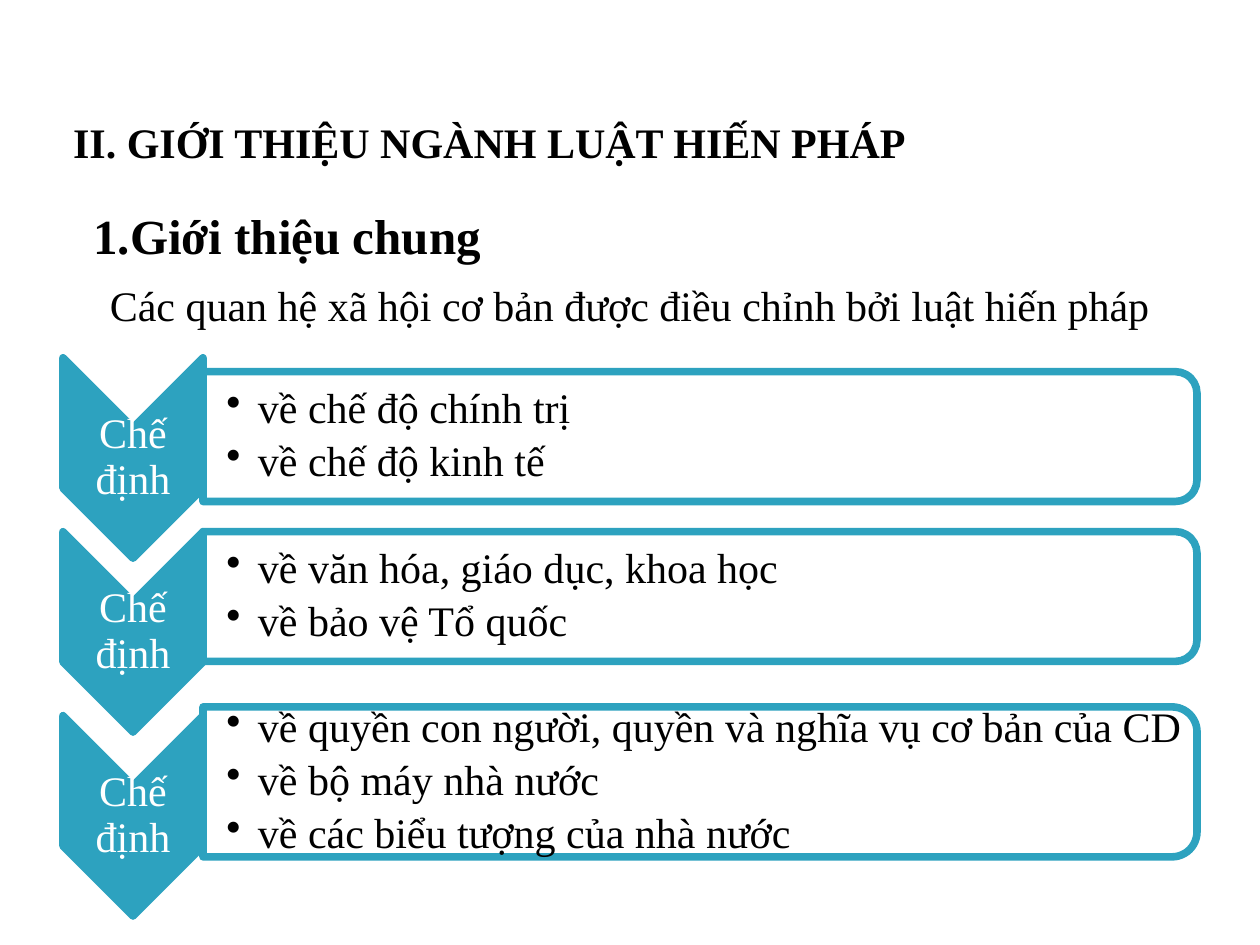
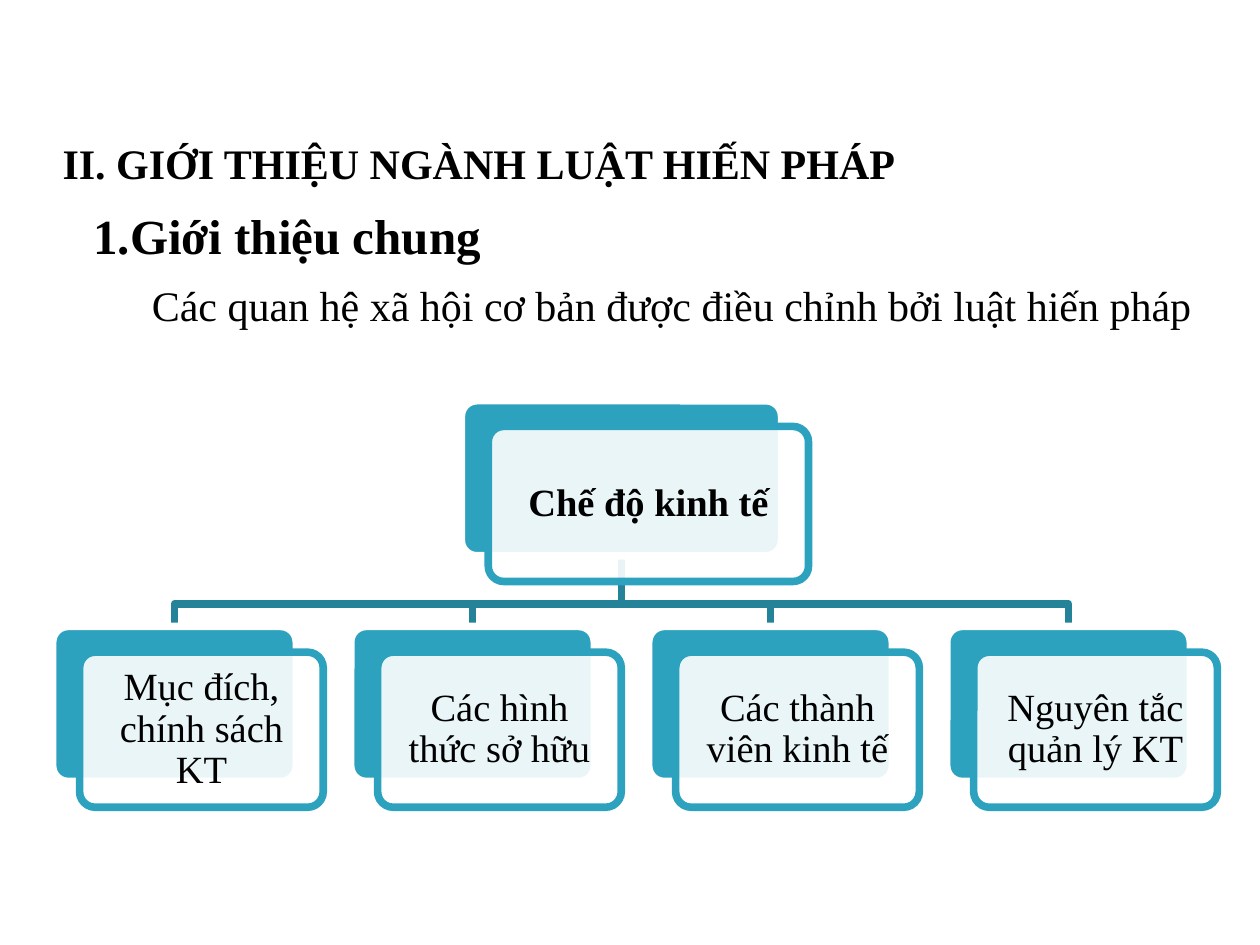
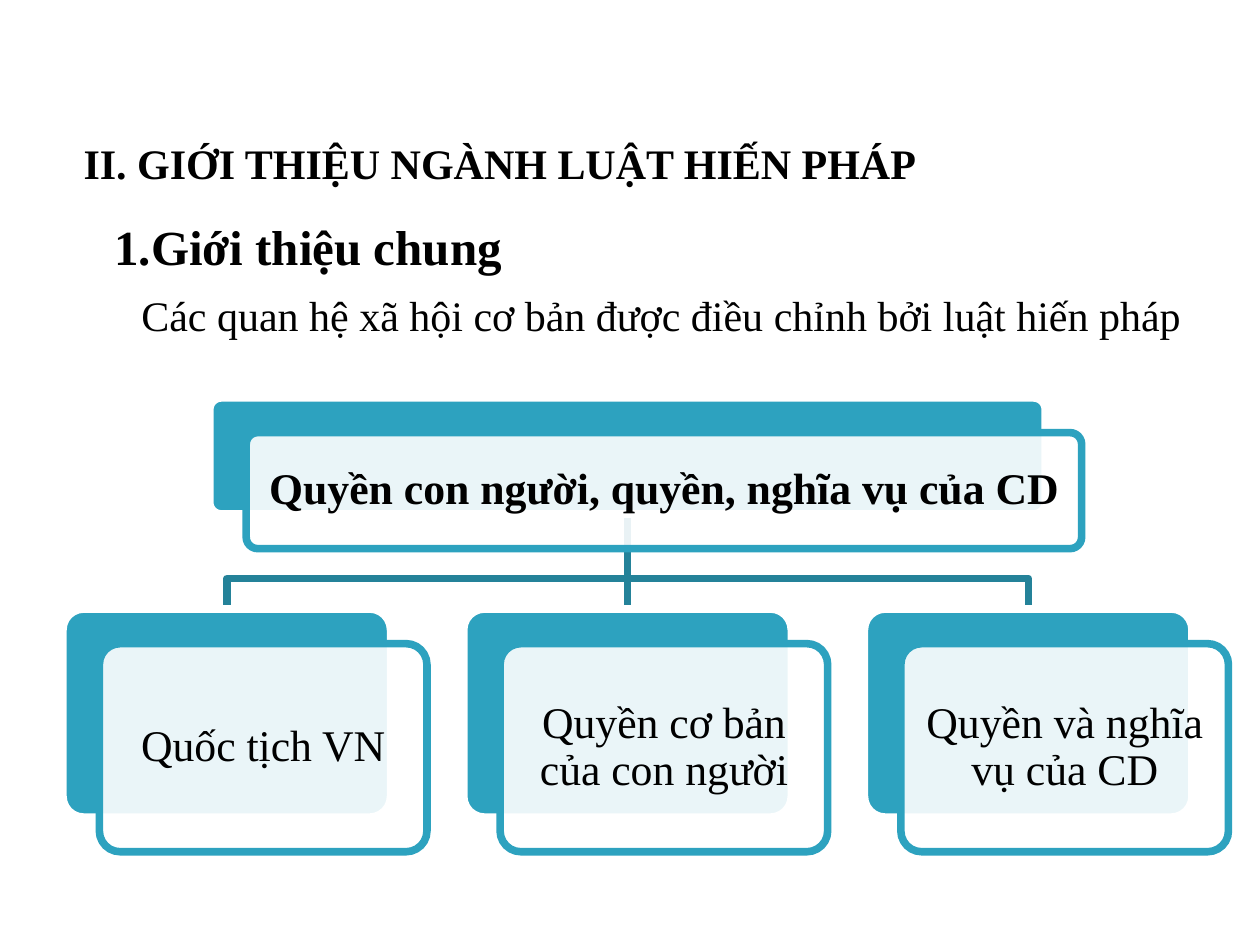
from lxml import etree
from pptx import Presentation
from pptx.dml.color import RGBColor
from pptx.enum.shapes import MSO_SHAPE
from pptx.enum.text import MSO_ANCHOR, PP_ALIGN
from pptx.oxml.ns import qn
from pptx.util import Pt

CHEVRON = MSO_SHAPE.CHEVRON
ROUND_TOP = MSO_SHAPE.ROUND_2_SAME_RECTANGLE
ROUNDED = MSO_SHAPE.ROUNDED_RECTANGLE
LEFT, CENTER = PP_ALIGN.LEFT, PP_ALIGN.CENTER
TOP, MIDDLE = MSO_ANCHOR.TOP, MSO_ANCHOR.MIDDLE

# Shared style
FONT = "Times New Roman"
BLACK = RGBColor(0x00, 0x00, 0x00)
WHITE = RGBColor(0xFF, 0xFF, 0xFF)
TEAL = RGBColor(0x2D, 0xA2, 0xBF)
DARK_TEAL = RGBColor(0x24, 0x82, 0x99)
LINE_WIDTH = 4.33
CORNER = 0.1

TITLE = "II. GIỚI THIỆU NGÀNH LUẬT HIẾN PHÁP "
SECTION = "Giới thiệu chung"
SUBTITLE = "Các quan hệ xã hội cơ bản được điều chỉnh bởi luật hiến pháp "

# Chevron list: chevron centre, panel centre, panel height, items
CHEVRON_ROWS = [
    (261.7, 249.5, 74.2, ["về chế độ chính trị", "về chế độ kinh tế"]),
    (361.1, 340.9, 74.2, ["về văn hóa, giáo dục, khoa học", "về bảo vệ Tổ quốc"]),
    (466.2, 446.8, 85.7, ["về quyền con người, quyền và nghĩa vụ cơ bản của CD",
                          "về bộ máy nhà nước",
                          "về các biểu tượng của nhà nước"]),
]


def add_text(slide, text, left, top, width, height, *, size=24, bold=False,
             color=BLACK, align=LEFT, anchor=TOP, insets=(7.2, 3.6, 7.2, 3.6),
             spacing=None, before=0, after=0, bullet=None, indent=(0, 0)):
    """Add a text box; a list of texts gives one paragraph each."""
    box = slide.shapes.add_textbox(Pt(left), Pt(top), Pt(width), Pt(height))
    frame = box.text_frame
    frame.word_wrap = True
    frame.vertical_anchor = anchor
    (frame.margin_left, frame.margin_top,
     frame.margin_right, frame.margin_bottom) = map(Pt, insets)
    lines = [text] if isinstance(text, str) else text
    for index, line in enumerate(lines):
        paragraph = frame.add_paragraph() if index else frame.paragraphs[0]
        paragraph.alignment = align
        paragraph.space_before = Pt(before)
        paragraph.space_after = Pt(after)
        if spacing:
            paragraph.line_spacing = spacing
        if bullet:
            add_bullet(paragraph, bullet, indent)
        run = paragraph.add_run()
        run.text = line
        run.font.name = FONT
        run.font.size = Pt(size)
        run.font.bold = bold
        run.font.color.rgb = color


def add_bullet(paragraph, bullet, indent):
    """Number the paragraph for "1.", else use the bullet as a character."""
    properties = paragraph._p.get_or_add_pPr()
    properties.set("marL", str(Pt(indent[0])))
    properties.set("indent", str(Pt(indent[1])))
    if bullet == "1.":
        etree.SubElement(properties, qn("a:buAutoNum"), type="arabicPeriod")
    else:
        etree.SubElement(properties, qn("a:buChar"), char=bullet)


def add_block(slide, kind, left, top, width, height, fill, line, opacity=None):
    shape = slide.shapes.add_shape(kind, Pt(left), Pt(top), Pt(width), Pt(height))
    shape.shadow.inherit = False
    shape.fill.solid()
    shape.fill.fore_color.rgb = fill
    shape.line.color.rgb = line
    shape.line.width = Pt(LINE_WIDTH)
    if opacity:
        color = shape._element.spPr.find(qn("a:solidFill"))[0]
        etree.SubElement(color, qn("a:alpha"), val=str(opacity * 1000))
    return shape


def add_turned_block(slide, kind, left, middle, width, height, *style):
    """Add a block turned by 90 degrees that covers the given area."""
    center = left + width / 2
    shape = add_block(slide, kind, center - height / 2, middle - width / 2,
                      height, width, *style)
    shape.rotation = 90


def add_headings(slide, title_at, section_at, subtitle_at):
    add_text(slide, SECTION, *section_at, 336, 60, size=28, bold=True,
             before=4, bullet="1.", indent=(44.6, 13.7))
    add_text(slide, SUBTITLE, *subtitle_at, 653.8, 36, align=CENTER)
    add_text(slide, TITLE, *title_at, 552, 54, bold=True, align=CENTER, anchor=MIDDLE)


def add_chevron_row(slide, chevron_middle, panel_middle, panel_height, items):
    left, chevron_width, label_height = 36, 80, 34.6
    panel_left, panel_width, inset = left + chevron_width, 568, 3.6
    add_turned_block(slide, CHEVRON, left, chevron_middle, chevron_width, 114.5,
                     TEAL, TEAL)
    add_text(slide, "Chế định", left, chevron_middle - label_height / 2,
             chevron_width, label_height, color=WHITE, align=CENTER,
             anchor=MIDDLE, insets=(1.2,) * 4, spacing=0.9)
    add_turned_block(slide, ROUND_TOP, panel_left, panel_middle, panel_width,
                     panel_height, WHITE, TEAL, 90)
    add_text(slide, items, panel_left, panel_middle - panel_height / 2 + inset,
             panel_width - inset, panel_height - 2 * inset, anchor=MIDDLE,
             insets=(13.4, 1.2, 1.2, 1.2), spacing=0.9, after=4.3,
             bullet="•", indent=(18, -18))


def add_card(slide, text, left, top, width, height, shift, size, bold=False):
    """Add a teal card with a translucent labelled card shifted over it."""
    back = add_block(slide, ROUNDED, left, top, width, height, TEAL, WHITE)
    left, top = left + shift[0], top + shift[1]
    front = add_block(slide, ROUNDED, left, top, width, height, WHITE, TEAL, 90)
    for card in (back, front):
        card.adjustments[0] = CORNER
    inset = 0.29 * CORNER * height
    add_text(slide, text, left + inset, top + inset, width - 2 * inset,
             height - 2 * inset, size=size, bold=bold, align=CENTER,
             anchor=MIDDLE, insets=(0.3 * size,) * 4, spacing=0.9)


def add_branch(slide, start, end):
    """Link parent and child: straight when aligned, else with an elbow."""
    (start_x, start_y), (end_x, end_y) = start, end
    if abs(start_x - end_x) < 1:
        branch = slide.shapes.add_connector(1, Pt(start_x), Pt(start_y),
                                            Pt(end_x), Pt(end_y))
        etree.SubElement(branch._element.spPr, qn("a:effectLst"))
    else:
        elbow = end_y - 0.32 * (end_y - start_y)
        builder = slide.shapes.build_freeform(Pt(start_x), Pt(start_y))
        points = [(start_x, elbow), (end_x, elbow), end]
        builder.add_line_segments([(Pt(x), Pt(y)) for x, y in points], close=False)
        branch = builder.convert_to_shape()
        branch.fill.background()
        branch.shadow.inherit = False
    branch.line.color.rgb = DARK_TEAL
    branch.line.width = Pt(LINE_WIDTH)


def add_hierarchy(slide, root, children, *, root_top, root_size, left, top,
                  card_size, pitch, shift, size):
    """Draw a root card centred over a row of evenly spaced child cards."""
    lefts = [left + index * pitch for index in range(len(children))]
    half = card_size[0] / 2
    center = (lefts[0] + lefts[-1]) / 2 + half
    for child_left in reversed(lefts):
        add_branch(slide, (center, root_top + root_size[1]), (child_left + half, top))
    add_card(slide, root, center - root_size[0] / 2, root_top, *root_size,
             shift, size, bold=True)
    for text, child_left in zip(children, lefts):
        add_card(slide, text, child_left, top, *card_size, shift, size)


def main():
    presentation = Presentation()
    presentation.slide_width, presentation.slide_height = Pt(720), Pt(540)
    blank = presentation.slide_layouts[6]

    # Slide 1: groups of regulated relations
    slide = presentation.slides.add_slide(blank)
    for row in CHEVRON_ROWS:
        add_chevron_row(slide, *row)
    add_headings(slide, (6, 54), (-12, 114), (36, 156))

    # Slide 2: economic regime
    slide = presentation.slides.add_slide(blank)
    add_headings(slide, (0, 66), (-12, 114), (60, 156))
    add_hierarchy(slide, "Chế độ kinh tế",
                  ["Mục đích, chính sách KT", "Các hình thức sở hữu",
                   "Các thành viên kinh tế", "Nguyên tắc quản lý KT"],
                  root_top=229, root_size=(183, 88.6), left=30.1, top=358,
                  card_size=(139.2, 88.6), pitch=170.3, shift=(15.4, 14.7), size=22)

    # Slide 3: rights and duties
    slide = presentation.slides.add_slide(blank)
    add_headings(slide, (12, 66), (0, 120), (54, 162))
    add_hierarchy(slide, "Quyền con người, quyền, nghĩa vụ của CD",
                  ["Quốc tịch VN", "Quyền cơ bản của con người",
                   "Quyền và nghĩa vụ của CD"],
                  root_top=227.4, root_size=(477.4, 66.3), left=36, top=348,
                  card_size=(187.2, 118.9), pitch=229, shift=(20.8, 19.8), size=25)

    presentation.save("out.pptx")


if __name__ == "__main__":
    main()
